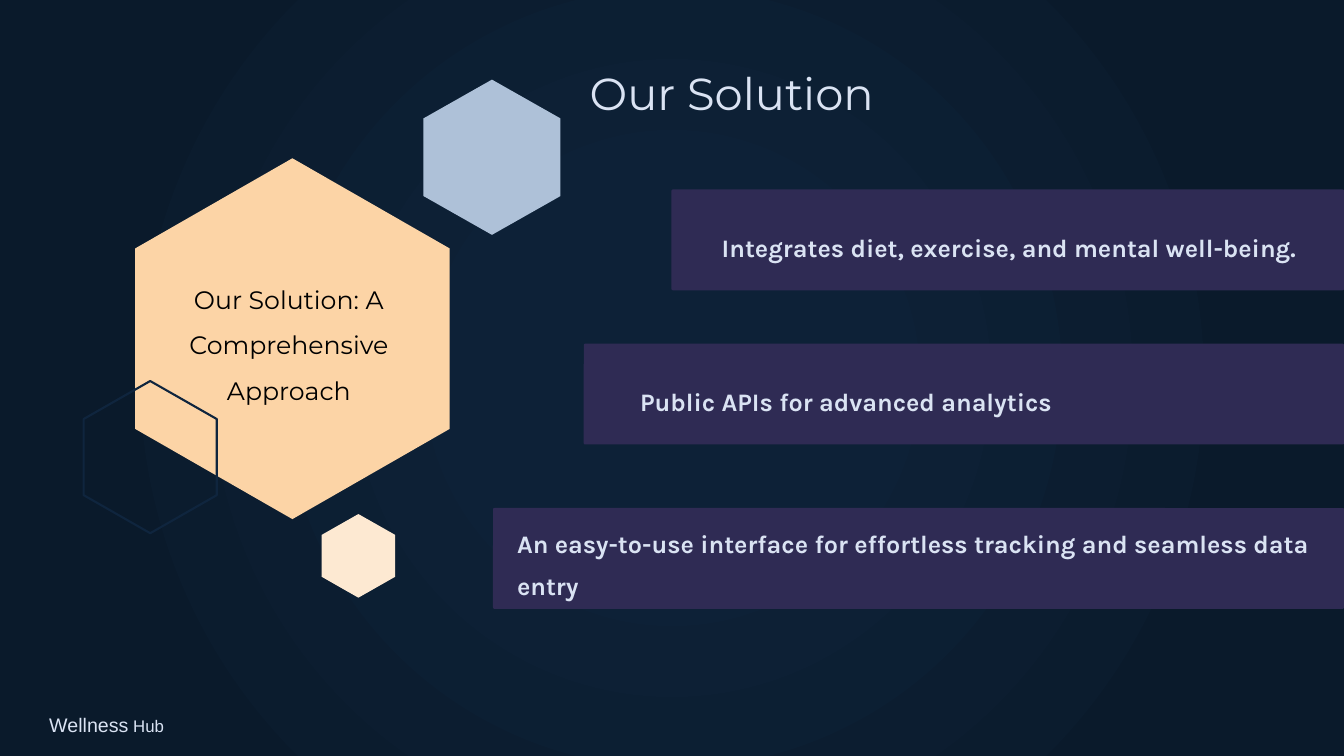
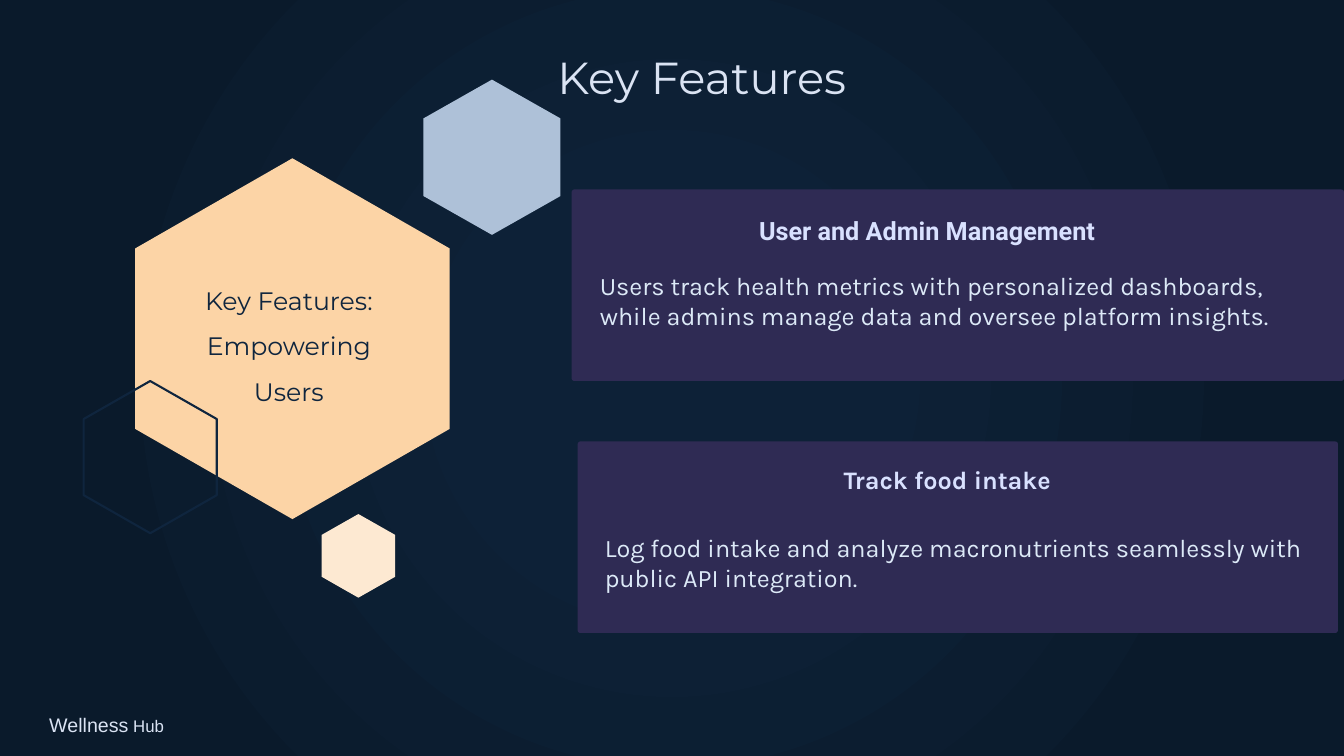
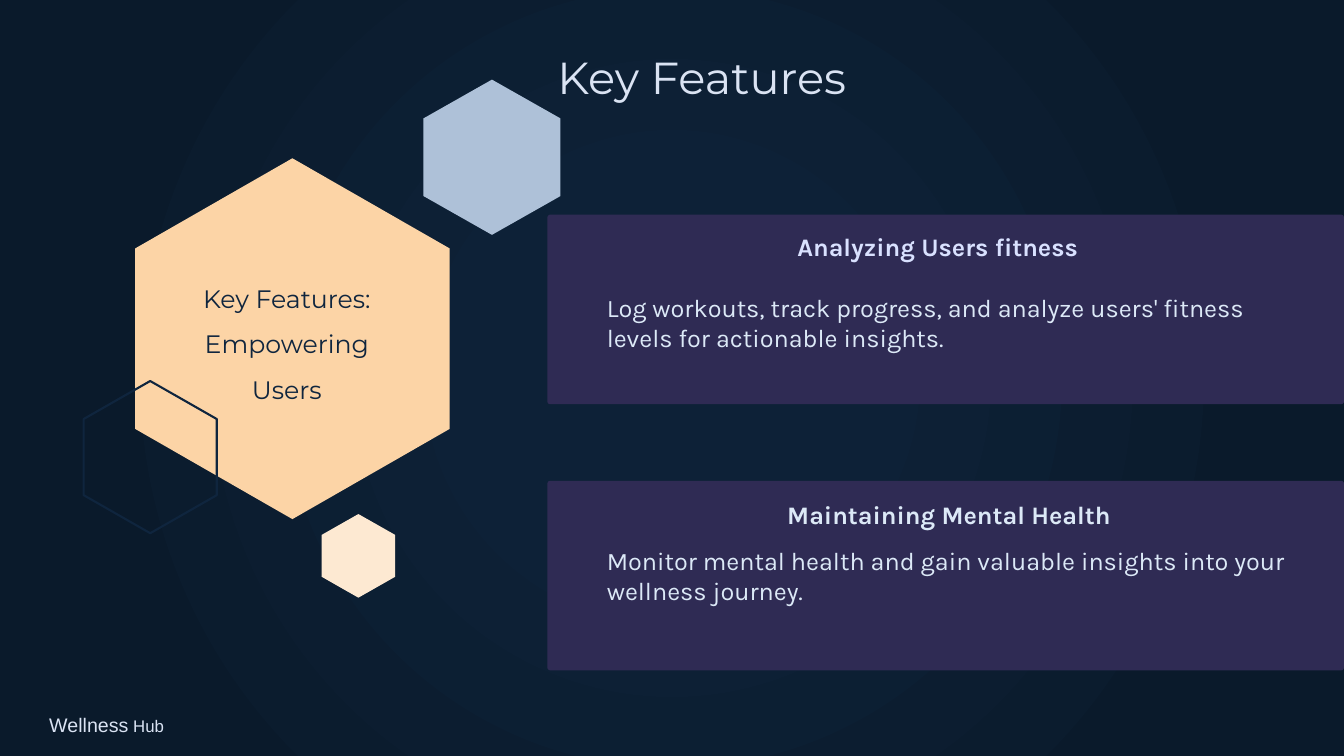
from lxml import etree
from pptx import Presentation
from pptx.dml.color import RGBColor
from pptx.enum.shapes import MSO_SHAPE
from pptx.enum.text import MSO_ANCHOR, PP_ALIGN
from pptx.oxml import parse_xml
from pptx.oxml.ns import nsdecls, qn
from pptx.util import Inches, Pt

ROUNDED = MSO_SHAPE.ROUNDED_RECTANGLE
MIDDLE = MSO_ANCHOR.MIDDLE
CENTER = PP_ALIGN.CENTER

PALE = RGBColor(0xDA, 0xE3, 0xF3)
LILAC = RGBColor(0xD9, 0xE1, 0xFF)
ICE = RGBColor(0xDC, 0xE9, 0xF7)
BLACK = RGBColor(0x00, 0x00, 0x00)
NAVY = RGBColor(0x0F, 0x25, 0x3E)
PURPLE = RGBColor(0x2F, 0x2B, 0x54)
STEEL = RGBColor(0xAE, 0xC1, 0xD8)
PEACH = RGBColor(0xFC, 0xD4, 0xA6)
CREAM = RGBColor(0xFD, 0xE9, 0xD2)
GLOW = [(0, "0D2137"), (23, "0D2137"), (69, "0B1C2E"), (97, "0A1A2B")]

WIDTH, HEIGHT = 13.33, 7.5
BAND_ROUNDING = 0.014

# left, top, width, height, fill (None draws only the outline)
HEXAGONS = [
    (4.2, 0.79, 1.36, 1.54, STEEL),
    (1.34, 1.57, 3.12, 3.58, PEACH),
    (0.83, 3.78, 1.32, 1.51, None),
    (3.19, 5.1, 0.73, 0.83, CREAM),
]

# font values, then paragraph values
TITLE = ({"name": "Montserrat", "size": Pt(32), "color": PALE}, {"line_spacing": Pt(55)})
BADGE = ({"name": "Montserrat", "size": Pt(18), "color": NAVY},
         {"line_spacing": 1.5, "alignment": CENTER})
BADGE_BLACK = ({**BADGE[0], "color": BLACK}, BADGE[1])
POINT = ({"name": "Karla", "size": Pt(18), "color": PALE, "bold": True},
         {"line_spacing": Pt(30)})
HEADING = ({**POINT[0], "color": LILAC}, POINT[1])
HEADING_ROBOTO = ({**HEADING[0], "name": "Roboto"}, POINT[1])
HEADING_ICE = ({**POINT[0], "color": ICE}, POINT[1])
BODY = ({"name": "Karla", "size": Pt(18), "color": ICE}, {})
FOOTER = {"name": "Arial", "color": PALE}
FOOTER_SPANS = [("Wellness", Pt(14)), (" Hub", Pt(12))]

# bands: left, top, width, height; texts: words, left, top, width, height, style
SLIDES = [
    {
        "bands": [(6.66, 1.88, 6.67, 1), (5.79, 3.41, 7.54, 1), (4.89, 5.04, 8.44, 1)],
        "texts": [
            ("Our Solution", 5.75, 0.37, 3.99, 0.8, TITLE),
            ("Our Solution: A Comprehensive Approach", 1.58, 2.62, 2.57, 1.41, BADGE_BLACK),
            ("Integrates diet, exercise, and mental well-being.", 7.06, 2.14, 6.27, 0.48, POINT),
            ("Public APIs for advanced analytics", 6.25, 3.67, 6.97, 0.48, POINT),
            ("An easy-to-use interface for effortless tracking and seamless data entry",
             5.03, 5.08, 8.1, 0.89, POINT),
        ],
    },
    {
        "bands": [(5.67, 1.88, 7.66, 1.9), (5.73, 4.38, 7.54, 1.9)],
        "texts": [
            ("Key Features", 5.43, 0.21, 3.99, 0.8, TITLE),
            ("Key Features: Empowering Users", 1.58, 2.63, 2.57, 1.42, BADGE),
            ("User and Admin Management", 7.43, 1.97, 4.24, 0.9, HEADING_ROBOTO),
            ("Users track health metrics with personalized dashboards, "
             "while admins manage data and oversee platform insights.",
             5.85, 2.63, 7.32, 0.71, BODY),
            ("Track food intake", 8.27, 4.44, 2.3, 0.48, HEADING),
            ("Log food intake and analyze macronutrients seamlessly with "
             "public API integration.", 5.9, 5.23, 7.26, 0.71, BODY),
        ],
    },
    {
        "bands": [(5.43, 2.13, 7.9, 1.88), (5.43, 4.77, 7.9, 1.88)],
        "texts": [
            ("Key Features", 5.43, 0.21, 3.99, 0.8, TITLE),
            ("Key Features: Empowering Users", 1.56, 2.61, 2.57, 1.42, BADGE),
            ("Analyzing Users fitness", 7.81, 2.13, 5.27, 0.48, HEADING),
            ("Log workouts, track progress, and analyze users' fitness "
             "levels for actionable insights.", 5.92, 2.85, 7.23, 0.71, BODY),
            ("Maintaining Mental Health", 7.71, 4.79, 5.27, 0.48, HEADING_ICE),
            ("Monitor mental health and gain valuable insights into your "
             "wellness journey.", 5.92, 5.36, 7.23, 0.71, BODY),
        ],
    },
]


def set_background(master):
    """Give the master a radial gradient, brightest at the centre."""
    master.background.fill.solid()
    properties = master.element.find(".//" + qn("p:bgPr"))
    gradient = parse_xml(f'<a:gradFill {nsdecls("a")} rotWithShape="1"/>')
    stops = etree.SubElement(gradient, qn("a:gsLst"))
    for percent, color in GLOW:
        stop = etree.SubElement(stops, qn("a:gs"), pos=str(percent * 1000))
        etree.SubElement(stop, qn("a:srgbClr"), val=color)
    radial = etree.SubElement(gradient, qn("a:path"), {"path": "circle"})
    etree.SubElement(radial, qn("a:fillToRect"), dict.fromkeys("ltrb", "50000"))
    properties.replace(properties[0], gradient)


def paint(shape, fill):
    shape.shadow.inherit = False
    if fill is None:
        shape.fill.background()
        shape.line.color.rgb = NAVY
        shape.line.width = Pt(1.5)
    else:
        shape.fill.solid()
        shape.fill.fore_color.rgb = fill
        shape.line.fill.background()


def add_hexagon(page, left, top, width, height, fill):
    """Draw a hexagon that stands on a point."""
    corners = [(0.5, 0), (1, 0.25), (1, 0.75), (0.5, 1), (0, 0.75), (0, 0.25)]
    points = [(Inches(left + x * width), Inches(top + y * height)) for x, y in corners]
    builder = page.shapes.build_freeform(*points[0])
    builder.add_line_segments(points[1:], close=True)
    paint(builder.convert_to_shape(), fill)


def add_band(page, *place):
    band = page.shapes.add_shape(ROUNDED, *map(Inches, place))
    band.adjustments[0] = BAND_ROUNDING
    paint(band, PURPLE)


def add_frame(page, *place):
    frame = page.shapes.add_textbox(*map(Inches, place)).text_frame
    frame.word_wrap = True
    return frame


def add_span(para, words, font_values):
    span = para.add_run()
    span.text = words
    for name, value in font_values.items():
        if name == "color":
            span.font.color.rgb = value
        else:
            setattr(span.font, name, value)


def add_text(page, words, left, top, width, height, style):
    font_values, para_values = style
    para = add_frame(page, left, top, width, height).paragraphs[0]
    for name, value in para_values.items():
        setattr(para, name, value)
    add_span(para, words, font_values)


def add_footer(page):
    frame = add_frame(page, 0.39, 6.99, 4.5, 0.4)
    frame.vertical_anchor = MIDDLE
    for words, size in FOOTER_SPANS:
        add_span(frame.paragraphs[0], words, {**FOOTER, "size": size})


def main():
    deck = Presentation()
    deck.slide_width, deck.slide_height = Inches(WIDTH), Inches(HEIGHT)
    set_background(deck.slide_master)
    for content in SLIDES:
        page = deck.slides.add_slide(deck.slide_layouts[6])
        for hexagon in HEXAGONS:
            add_hexagon(page, *hexagon)
        add_footer(page)
        for band in content["bands"]:
            add_band(page, *band)
        for text in content["texts"]:
            add_text(page, *text)
    deck.save("out.pptx")


if __name__ == "__main__":
    main()
